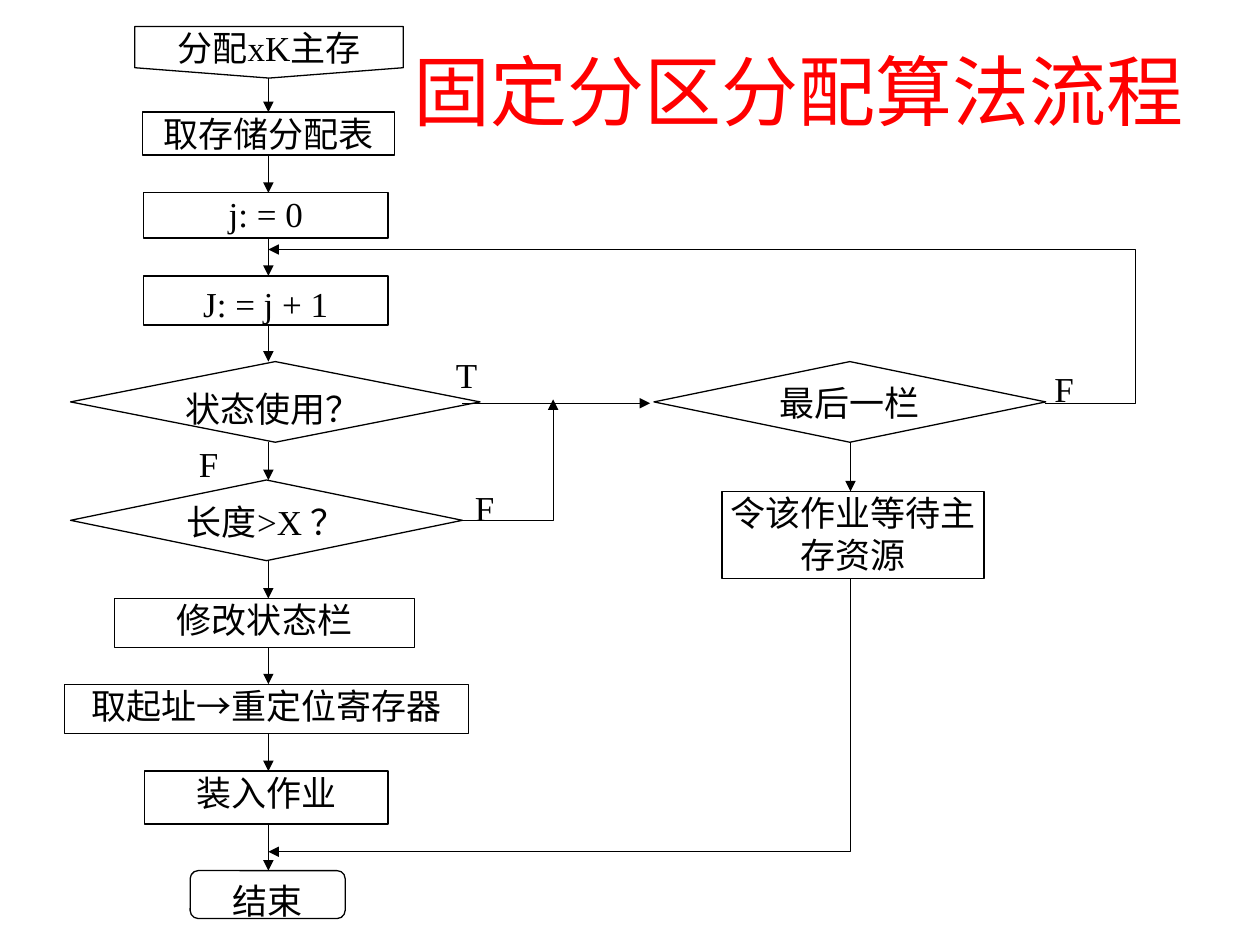
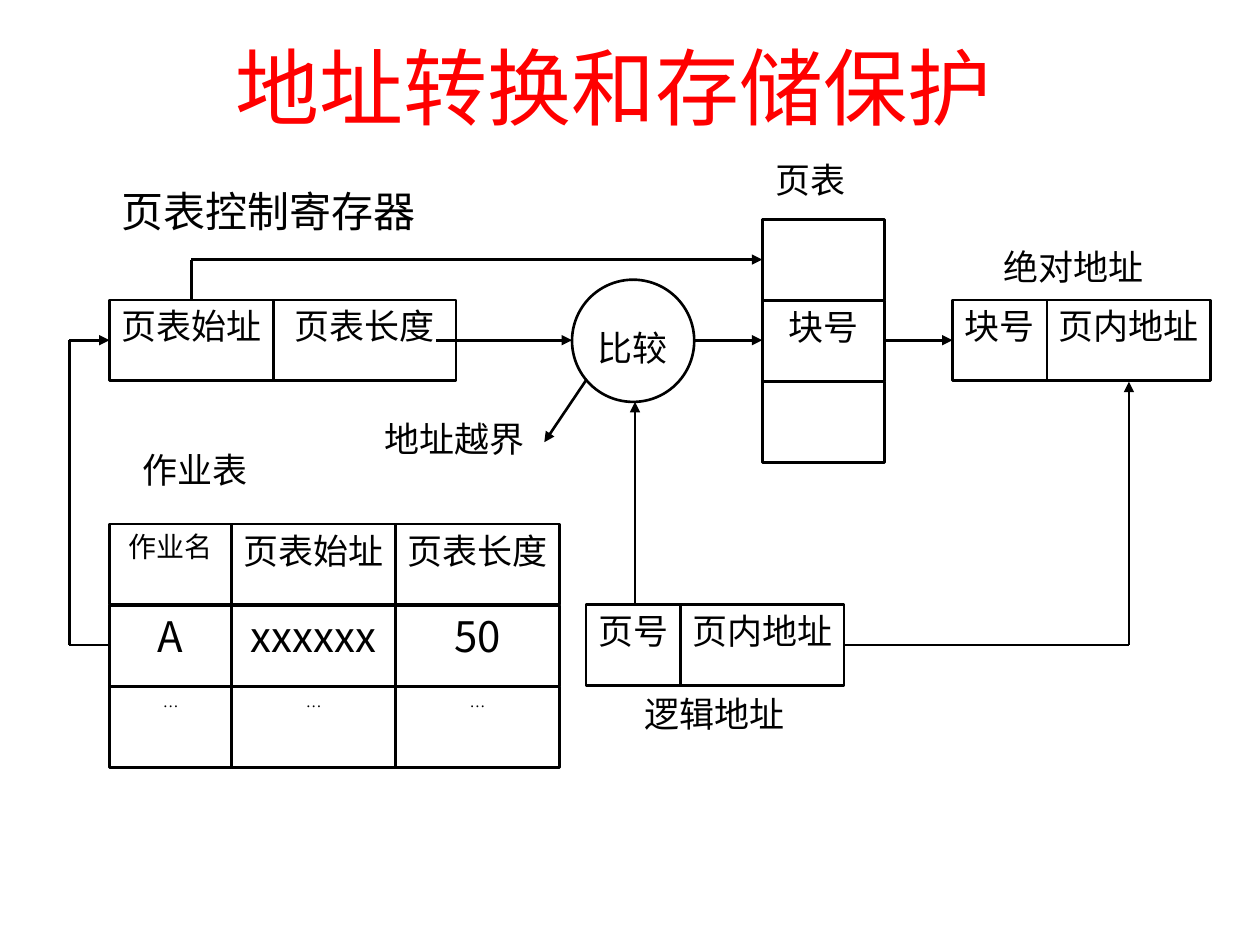
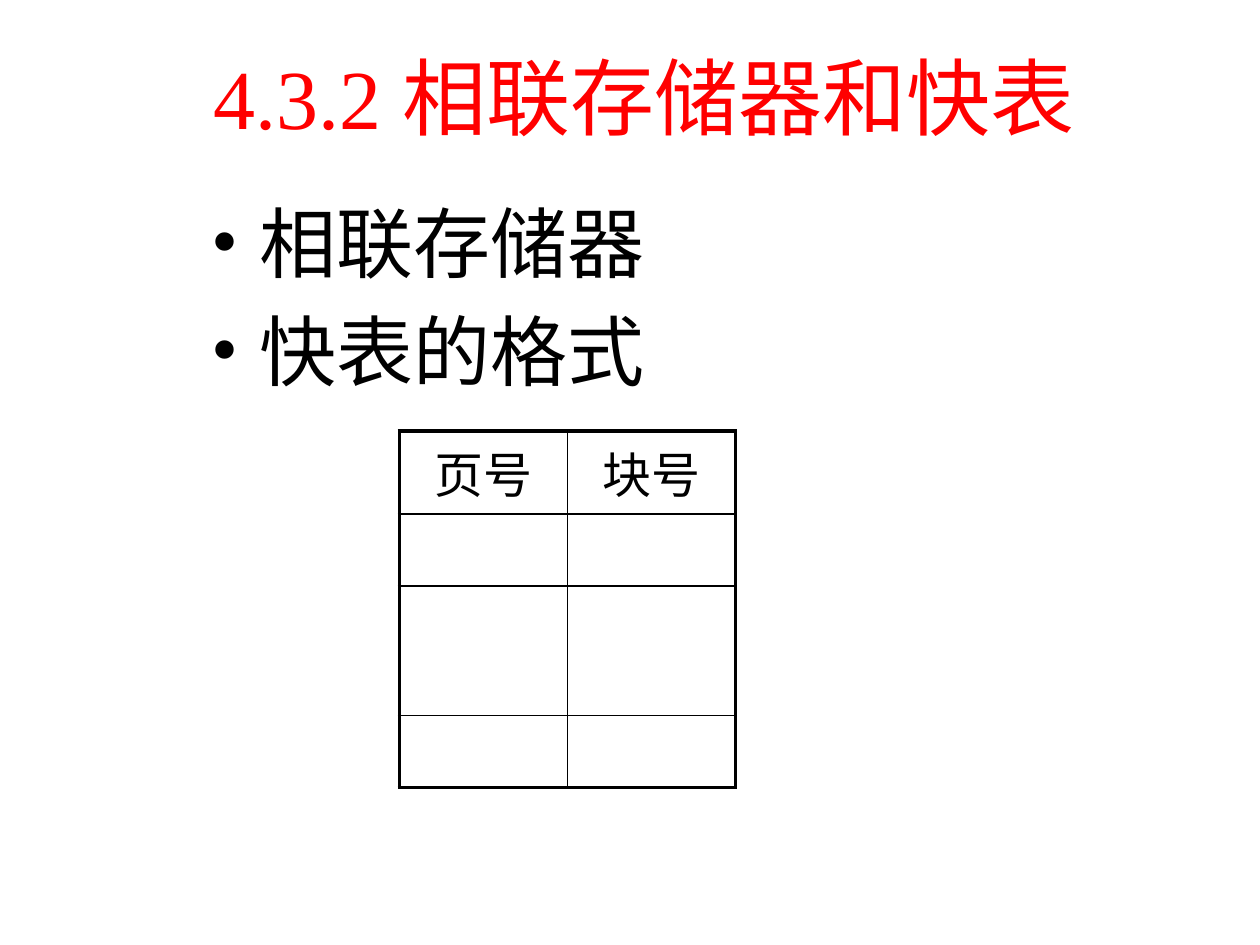
"""Build three slides on fixed partitions, paging address translation and the fast table."""
from dataclasses import dataclass
from itertools import accumulate

from lxml.etree import SubElement
from pptx import Presentation
from pptx.dml.color import RGBColor
from pptx.enum.shapes import MSO_CONNECTOR as Link, MSO_SHAPE as Form
from pptx.enum.text import MSO_ANCHOR as Anchor, PP_ALIGN as Align
from pptx.oxml.ns import qn
from pptx.util import Inches, Pt

COLORS = {"ink": "000000", "paper": "FFFFFF", "title": "FF0000"}
SERIF = "Times New Roman"
SANS = "Noto Sans CJK JP"
WIDE = (0.1, 0.05)
NONE = (0, 0)
FLAT = (0, 0.04)
THIN = 0.75
BOLD = 1.5
Point = tuple[float, float]


@dataclass(frozen=True)
class Node:
    """A shape holding one line of text; a border of 0 means no outline."""
    text: str
    left: float
    top: float
    width: float
    height: float
    form: Form = Form.RECTANGLE
    inset: Point = NONE
    align: Align = Align.CENTER
    size: float = 20
    font: str = SERIF
    border: float = THIN
    filled: bool = True


@dataclass(frozen=True)
class Route:
    """A line through points, ending in an arrowhead when arrow is set."""
    points: tuple[Point, ...]
    arrow: bool = True


def rgb(name: str) -> RGBColor:
    """Return a named colour."""
    return RGBColor.from_string(COLORS[name])


def add_span(para, text: str, size: float, font: str, color: str = "ink") -> None:
    """Append a formatted run to a paragraph."""
    span = para.add_run()
    span.text = text
    span.font.size = Pt(size)
    span.font.name = font
    span.font.color.rgb = rgb(color)


def add_title(page, text: str, left: float, top: float, width: float, height: float,
              size: float = 48, align: Align = Align.CENTER) -> None:
    """Draw the red slide title."""
    box = page.shapes.add_textbox(Inches(left), Inches(top), Inches(width), Inches(height))
    box.text_frame.word_wrap = True
    para = box.text_frame.paragraphs[0]
    para.alignment = align
    add_span(para, text, size, SERIF, "title")


def draw_node(page, node: Node) -> None:
    """Draw a node with its text at the top."""
    shape = page.shapes.add_shape(node.form, Inches(node.left), Inches(node.top),
                                  Inches(node.width), Inches(node.height))
    shape.shadow.inherit = False
    if node.filled:
        shape.fill.solid()
        shape.fill.fore_color.rgb = rgb("paper")
    else:
        shape.fill.background()
    if node.border:
        shape.line.color.rgb = rgb("ink")
        shape.line.width = Pt(node.border)
    else:
        shape.line.fill.background()
    frame = shape.text_frame
    frame.word_wrap = True
    frame.vertical_anchor = Anchor.TOP
    frame.margin_left = frame.margin_right = Inches(node.inset[0])
    frame.margin_top = frame.margin_bottom = Inches(node.inset[1])
    if node.text:
        para = frame.paragraphs[0]
        para.alignment = node.align
        add_span(para, node.text, node.size, node.font)


def style_line(shape, width: float, arrow: bool) -> None:
    """Give a line its colour, width and optional arrowhead."""
    shape.line.color.rgb = rgb("ink")
    shape.line.width = Pt(width)
    if arrow:
        outline = shape.element.spPr.find(qn("a:ln"))
        SubElement(outline, qn("a:tailEnd"), type="triangle")


def draw_link(page, start: Point, end: Point, width: float, arrow: bool = True) -> None:
    """Draw a straight connector."""
    ends = [Inches(value) for value in (*start, *end)]
    link = page.shapes.add_connector(Link.STRAIGHT, *ends)
    style_line(link, width, arrow)
    SubElement(link.element.spPr, qn("a:effectLst"))


def draw_bend(page, points: tuple[Point, ...], width: float) -> None:
    """Draw an open bent arrow as one outline."""
    corners = [(Inches(x), Inches(y)) for x, y in points]
    builder = page.shapes.build_freeform(*corners[0])
    builder.add_line_segments(corners[1:], close=False)
    bend = builder.convert_to_shape()
    bend.shadow.inherit = False
    bend.fill.background()
    style_line(bend, width, True)


def build_partition_flow(page) -> None:
    """Draw the flowchart of fixed partition allocation."""
    add_title(page, "固定分区分配算法流程", 0.5, 0.3, 9, 1.25, 44, Align.RIGHT)
    for text, left, top in (("T", 3.52, 2.76), ("F", 1.48, 3.46),
                            ("F", 3.67, 3.81), ("F", 8.27, 2.87)):
        draw_node(page, Node(text, left, top, 0.64, 0.44, inset=WIDE,
                             align=Align.JUSTIFY, border=0))
    steps = (
        Node("分配xK主存", 1.07, 0.21, 2.13, 0.41, Form.FLOWCHART_OFFPAGE_CONNECTOR),
        Node("取存储分配表", 1.13, 0.89, 2, 0.34),
        Node("j: = 0", 1.14, 1.53, 1.94, 0.36),
        Node("J: = j + 1", 1.14, 2.19, 1.94, 0.39, inset=WIDE),
        Node("状态使用？", 0.56, 2.87, 3.25, 0.64, Form.FLOWCHART_DECISION, WIDE, Align.JUSTIFY),
        Node("长度>X ？", 0.56, 3.81, 3.11, 0.64, Form.FLOWCHART_DECISION),
        Node("修改状态栏", 0.91, 4.75, 2.38, 0.39),
        Node("取起址→重定位寄存器", 0.51, 5.43, 3.21, 0.39),
        Node("装入作业", 1.15, 6.12, 1.93, 0.42),
        Node("结束", 1.51, 6.91, 1.23, 0.38, Form.FLOWCHART_ALTERNATE_PROCESS, WIDE),
    )
    last_entry = Node("最后一栏", 5.19, 2.87, 3.11, 0.64, Form.FLOWCHART_DECISION)
    wait = Node("令该作业等待主存资源", 5.73, 3.9, 2.08, 0.69)
    for node in (*steps, wait, last_entry):
        draw_node(page, node)
    main_x, wait_x = 2.13, 6.75
    chains = [(main_x, upper, lower) for upper, lower in zip(steps, steps[1:])]
    for x, upper, lower in (*chains, (wait_x, last_entry, wait)):
        draw_link(page, (x, upper.top + upper.height), (x, lower.top), THIN)
    draw_link(page, (3.67, 3.2), (5.16, 3.2), THIN)
    for points in (
        ((wait_x, 4.59), (wait_x, 6.76), (main_x, 6.76)),
        ((8.29, 3.2), (9.01, 3.2), (9.01, 1.98), (main_x, 1.98)),
        ((3.67, 4.13), (4.39, 4.13), (4.39, 3.17)),
    ):
        draw_bend(page, points, THIN)


def draw_cells(page, left: float, top: float, widths: tuple[float, ...],
               rows: tuple[tuple[tuple[str, float], ...], ...]) -> None:
    """Draw adjoining boxes, each row given as text and size pairs."""
    lefts = list(accumulate(widths, initial=left))
    for index, row in enumerate(rows):
        for x, width, (text, size) in zip(lefts, widths, row):
            font = SERIF if text == "…" else SANS
            draw_node(page, Node(text, x, top + index * 0.645, width, 0.64, inset=FLAT,
                                 size=size, font=font, border=BOLD))


def build_address_translation(page) -> None:
    """Draw address translation through the page table."""
    add_title(page, "地址转换和存储保护", 0.62, 0.23, 8.5, 0.81)
    draw_cells(page, 0.87, 2.38, (1.3, 1.45), ((("页表始址", 20), ("页表长度", 20)),))
    draw_cells(page, 0.87, 4.16, (0.97, 1.3, 1.3), (
        (("作业名", 16), ("页表始址", 20), ("页表长度", 20)),
        (("A", 24), ("xxxxxx", 24), ("50", 24)),
        (("…", 9),) * 3,
    ))
    draw_cells(page, 6.05, 1.74, (0.97,), ((("", 20),), (("块号", 20),), (("", 20),)))
    draw_cells(page, 4.65, 4.8, (0.75, 1.3), ((("页号", 20), ("页内地址", 20)),))
    draw_cells(page, 7.56, 2.38, (0.75, 1.3), ((("块号", 20), ("页内地址", 20)),))
    draw_node(page, Node("", 4.54, 2.22, 0.97, 0.97, Form.OVAL, border=BOLD))
    for text, left, top, width, height, size in (
        ("作业表", 0.87, 3.52, 1.36, 0.49, 20),
        ("比较", 4.73, 2.55, 0.58, 0.49, 20),
        ("页表", 5.95, 1.22, 0.97, 0.44, 20),
        ("页表控制寄存器", 0.87, 1.43, 2.52, 0.51, 24),
        ("绝对地址", 7.87, 1.91, 1.3, 0.37, 20),
        ("逻辑地址", 5.02, 5.46, 1.3, 0.63, 20),
        ("地址越界", 2.87, 3.27, 1.47, 0.48, 20),
    ):
        draw_node(page, Node(text, left, top, width, height, inset=FLAT, size=size,
                             font=SANS, border=0, filled=False))
    register_y, logical_y = 2.7, 5.12
    for route in (
        Route(((5.04, 4.8), (5.04, 3.19))),
        Route(((3.46, register_y), (4.54, register_y))),
        Route(((5.51, register_y), (6.05, register_y))),
        Route(((7.02, register_y), (7.56, register_y))),
        Route(((6.7, logical_y), (8.96, logical_y), (8.96, 3.03))),
        Route(((1.52, 2.38), (1.52, 2.06), (6.05, 2.06))),
        Route(((0.87, logical_y), (0.55, logical_y), (0.55, register_y), (0.87, register_y))),
        Route(((4.65, 3.02), (4.32, 3.51))),
    ):
        for start, end in zip(route.points, route.points[1:]):
            draw_link(page, start, end, BOLD, route.arrow and end == route.points[-1])


def add_bullets(page, items: tuple[str, ...]) -> None:
    """Draw the bulleted list."""
    box = page.shapes.add_textbox(Inches(1.58), Inches(1.5), Inches(7.92), Inches(5.25))
    frame = box.text_frame
    frame.word_wrap = True
    for index, item in enumerate(items):
        para = frame.add_paragraph() if index else frame.paragraphs[0]
        settings = para._p.get_or_add_pPr()
        settings.set("marL", str(Inches(0.38)))
        settings.set("indent", str(Inches(-0.38)))
        SubElement(settings, qn("a:buFont"), typeface=SERIF)
        SubElement(settings, qn("a:buChar"), char="•")
        if index:
            para.space_before = Pt(9)
        add_span(para, item, 44, SANS)


def set_borders(cell, widths: dict[str, float]) -> None:
    """Give each named side of a cell a black border."""
    settings = cell._tc.get_or_add_tcPr()
    for position, (side, width) in enumerate(widths.items()):
        edge = settings.makeelement(qn(f"a:{side}"), {"w": str(Pt(width))})
        fill = SubElement(edge, qn("a:solidFill"))
        SubElement(fill, qn("a:srgbClr"), val=COLORS["ink"])
        settings.insert(position, edge)


def build_fast_table(page) -> None:
    """Draw the bullets and the layout of the fast table."""
    add_title(page, "4.3.2 相联存储器和快表", 0.86, 0.31, 8.5, 0.81)
    add_bullets(page, ("相联存储器", "快表的格式"))
    headings = ("页号", "块号")
    heights = (0.66, 0.57, 1.03, 0.57)
    outer, inner = 2.25, 1
    graphic = page.shapes.add_table(len(heights), len(headings), Inches(3.17), Inches(3.42),
                                    Inches(2.67), Inches(sum(heights)))
    table = graphic.table
    table.first_row = table.horz_banding = False
    for column in table.columns:
        column.width = Inches(1.335)
    last_row, last_column = len(heights) - 1, len(headings) - 1
    for r, height in enumerate(heights):
        table.rows[r].height = Inches(height)
        for c, heading in enumerate(headings):
            cell = table.cell(r, c)
            cell.fill.background()
            set_borders(cell, {
                "lnL": outer if c == 0 else inner,
                "lnR": outer if c == last_column else inner,
                "lnT": outer if r == 0 else inner,
                "lnB": outer if r == last_row else inner,
            })
            if r == 0:
                cell.vertical_anchor = Anchor.MIDDLE
                para = cell.text_frame.paragraphs[0]
                para.alignment = Align.CENTER
                add_span(para, heading, 28, SERIF)


def main() -> None:
    """Build and save the deck."""
    deck = Presentation()
    deck.slide_width, deck.slide_height = Inches(10), Inches(7.5)
    for build in (build_partition_flow, build_address_translation, build_fast_table):
        build(deck.slides.add_slide(deck.slide_layouts[6]))
    deck.save("out.pptx")


if __name__ == "__main__":
    main()
